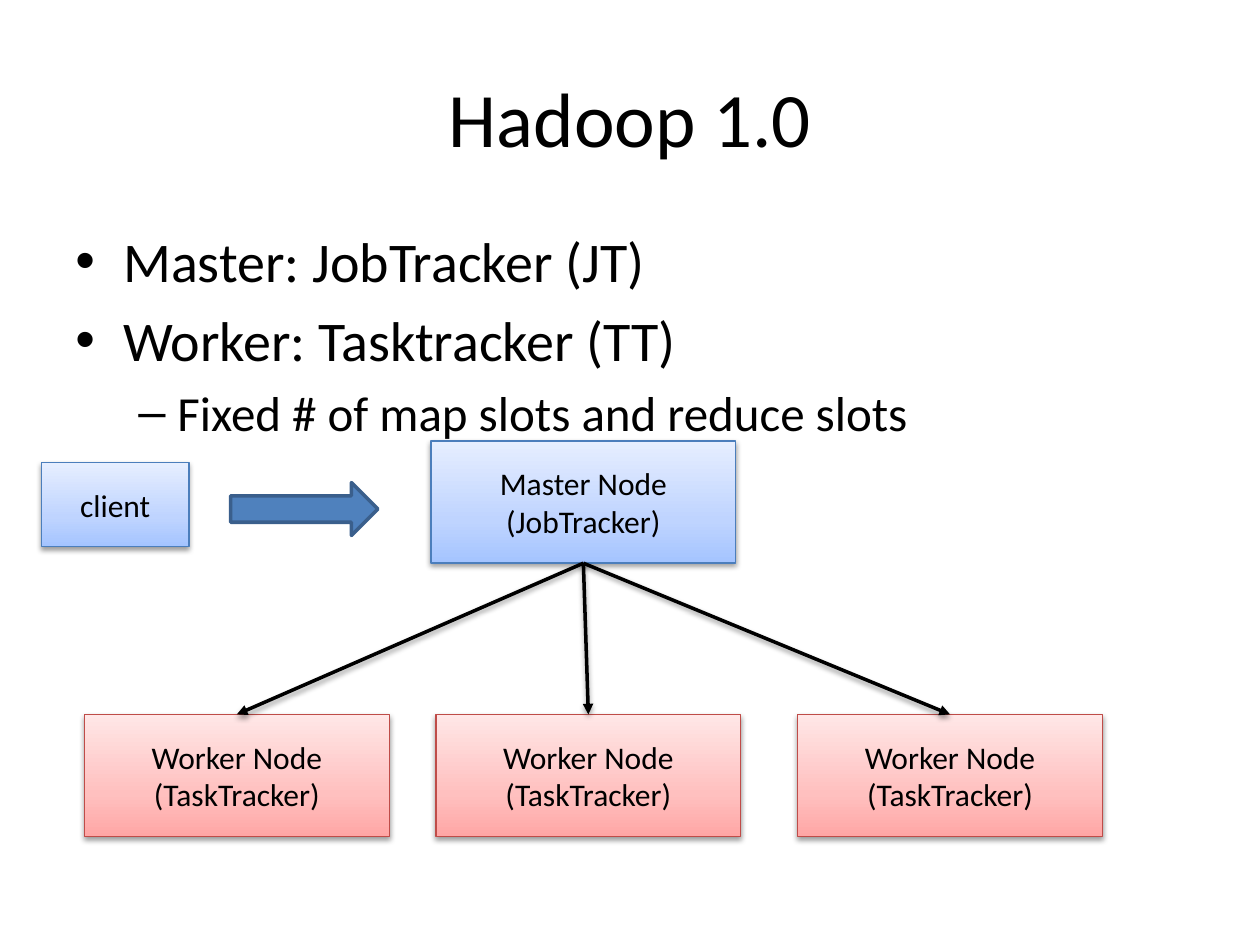
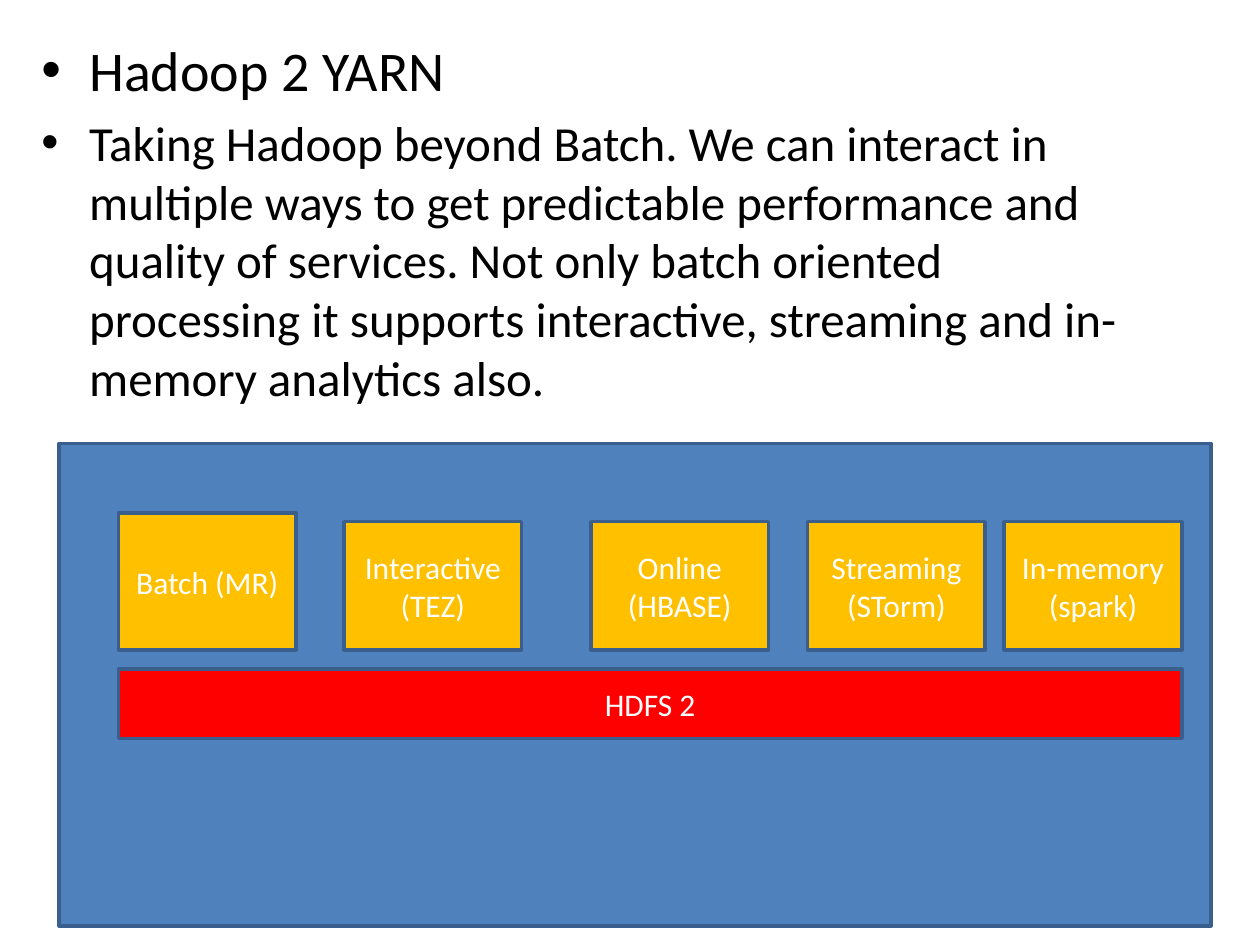
from copy import deepcopy
from lxml import etree
from pptx import Presentation
from pptx.dml.color import RGBColor
from pptx.enum.shapes import MSO_CONNECTOR, MSO_SHAPE
from pptx.enum.text import MSO_ANCHOR, PP_ALIGN
from pptx.oxml.ns import qn
from pptx.util import Inches, Pt

RECT, ARROW = MSO_SHAPE.RECTANGLE, MSO_SHAPE.RIGHT_ARROW
LINE = MSO_CONNECTOR.STRAIGHT
MIDDLE, TOP = MSO_ANCHOR.MIDDLE, MSO_ANCHOR.TOP
CENTER, LEFT = PP_ALIGN.CENTER, PP_ALIGN.LEFT
FONT = "Calibri"
BLACK, WHITE = "000000", "FFFFFF"
BLUE, EDGE = "4F81BD", "3A5F8C"
GOLD, RED = "FFC000", "FF0000"
SKY = {"stops": ["A4C4FF", "BFD4FF", "E6EEFF"], "edge": "4B7EBC"}
ROSE = {"stops": ["FFA6A5", "FFC0BF", "FFE7E7"], "edge": "BF4C48"}
LEVELS = [
    {"mark": "•", "left": 0.38, "hang": 0.38},
    {"mark": "–", "left": 0.81, "hang": 0.31},
]


def color(code):
    return RGBColor.from_string(code)


def inches(*sizes):
    return [Inches(size) for size in sizes]


def assign(item, values):
    for name, value in values.items():
        setattr(item, name, value)


def add(parent, tag, **values):
    return etree.SubElement(parent, qn(tag), {k: str(v) for k, v in values.items()})


def style(para, size, code, align):
    para.alignment = align
    for run in para.runs:
        assign(run.font, {"name": FONT, "size": Pt(size)})
        run.font.color.rgb = color(code)


def write(shape, text, size=18, code=BLACK, anchor=MIDDLE):
    frame = shape.text_frame
    frame.text = text
    assign(frame, {"word_wrap": True, "vertical_anchor": anchor})
    for para in frame.paragraphs:
        style(para, size, code, CENTER)


def outline(shape, code, width):
    shape.line.color.rgb = color(code)
    shape.line.width = Pt(width)


def effect(shape, cast):
    effects = add(shape._element.spPr, "a:effectLst")
    if cast:
        shade = add(effects, "a:outerShdw", blurRad=Pt(3.1), dist=Pt(1.6),
                    dir=90 * 60000, rotWithShape=0)
        tint = add(shade, "a:srgbClr", val=BLACK)
        add(tint, "a:alpha", val=38000)


def blend(shape, codes):
    fill = shape.fill
    fill.gradient()
    fill.gradient_angle = 90
    first = shape._element.spPr.find(".//" + qn("a:gs"))
    first.addnext(deepcopy(first))
    for stop, code, place in zip(fill.gradient_stops, codes, (0, 0.35, 1)):
        stop.color.rgb = color(code)
        stop.position = place


def block(slide, box, fill, text="", kind=RECT):
    shape = slide.shapes.add_shape(kind, *inches(*box))
    shape.fill.solid()
    shape.fill.fore_color.rgb = color(fill)
    outline(shape, EDGE, 2)
    effect(shape, False)
    if text:
        write(shape, text, code=WHITE)
    return shape


def node(slide, box, text, look):
    shape = slide.shapes.add_shape(RECT, *inches(*box))
    blend(shape, look["stops"])
    outline(shape, look["edge"], 0.75)
    effect(shape, True)
    write(shape, text)
    return shape


def link(slide, start, end):
    line = slide.shapes.add_connector(LINE, 0, 0, 0, 0)
    line.begin_connect(start, 2)
    line.end_connect(end, 0)
    outline(line, BLACK, 2)
    add(line.line._get_or_add_ln(), "a:tailEnd", type="triangle")
    effect(line, True)


def bullets(slide, box, items):
    frame = slide.shapes.add_textbox(*inches(*box)).text_frame
    assign(frame, {"word_wrap": True, "vertical_anchor": TOP})
    for index, (text, size, depth) in enumerate(items):
        para = frame.paragraphs[0] if index == 0 else frame.add_paragraph()
        level = LEVELS[depth]
        props = para._p.get_or_add_pPr()
        props.set("marL", str(Inches(level["left"])))
        props.set("indent", str(-Inches(level["hang"])))
        add(props, "a:buFont", typeface="Arial")
        add(props, "a:buChar", char=level["mark"])
        para.level = depth
        para.add_run().text = text
        style(para, size, BLACK, LEFT)
        if index:
            para.space_before = Pt(size * 0.2)


def heading(slide, box, text):
    title = slide.shapes.title
    assign(title, dict(zip(("left", "top", "width", "height"), inches(*box))))
    write(title, text, 44)


def cluster(slide, box):
    left, top, width, height = box
    wide, high = 2.42, 0.97
    node(slide, (left, top + 0.17, 1.17, 0.67), "client", SKY)
    block(slide, (left + 1.5, top + 0.33, 1.17, 0.42), BLUE, kind=ARROW)
    master = node(slide, (left + 3.09, top, wide, high),
                  "Master Node\n(JobTracker)", SKY)
    base = top + height - high
    workers = [node(slide, (left + x, base, wide, high),
                    "Worker Node\n(TaskTracker)", ROSE)
               for x in (0.34, 3.13, width - wide)]
    for worker in workers:
        link(slide, master, worker)


def stack(slide, box):
    left, top, width, height = box
    inset, wide, floor = 0.47, 1.41, top + 1.64
    block(slide, box, BLUE)
    block(slide, (left + inset, top + 1.79, 8.44, 0.55), RED, "HDFS 2")
    engines = [
        ("Batch (MR)", inset, 1.09),
        ("Interactive (TEZ)", 2.26, 1.02),
        ("Online (HBASE)", 4.22, 1.02),
        ("Streaming (STorm)", 5.94, 1.02),
        ("In-memory (spark)", 7.5, 1.02),
    ]
    for text, x, high in engines:
        block(slide, (left + x, floor - high, wide, high), GOLD, text)


def tracker(deck):
    slide = deck.slides.add_slide(deck.slide_layouts[5])
    bullets(slide, (0.5, 1.75, 9, 4.95), [
        ("Master: JobTracker (JT)", 32, 0),
        ("Worker: Tasktracker (TT)", 32, 0),
        ("Fixed # of map slots and reduce slots", 28, 1),
    ])
    heading(slide, (0.5, 0.3, 9, 1.25), "Hadoop 1.0")
    cluster(slide, (0.33, 3.5, 8.42, 3.14))


def yarn(deck):
    slide = deck.slides.add_slide(deck.slide_layouts[6])
    bullets(slide, (0.23, 0.23, 9, 6.28), [
        ("Hadoop 2 YARN", 32, 0),
        ("Taking Hadoop beyond Batch. We can interact in multiple ways to get "
         "predictable performance and quality of services. Not only batch "
         "oriented processing it supports interactive, streaming and "
         "in-memory analytics also.", 28, 0),
    ])
    stack(slide, (0.47, 3.52, 9.14, 3.83))


def main():
    deck = Presentation()
    assign(deck, {"slide_width": Inches(10), "slide_height": Inches(7.5)})
    tracker(deck)
    yarn(deck)
    deck.save("out.pptx")


if __name__ == "__main__":
    main()
